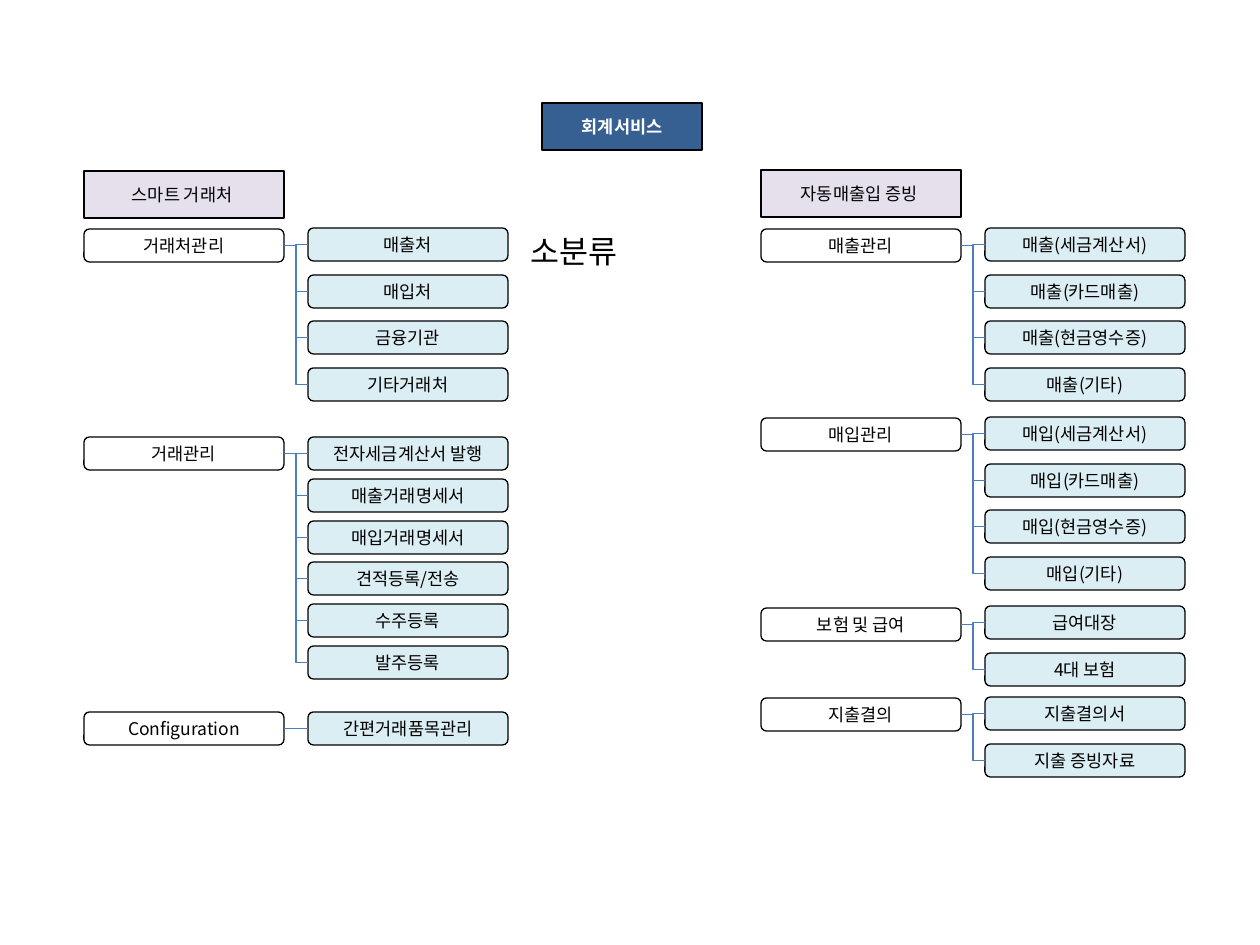
from lxml.etree import SubElement
from pptx import Presentation
from pptx.dml.color import RGBColor
from pptx.enum.shapes import MSO_CONNECTOR as CONNECTOR, MSO_SHAPE as SHAPE
from pptx.enum.text import MSO_ANCHOR as ANCHOR, PP_ALIGN as ALIGN
from pptx.oxml.ns import qn
from pptx.util import Emu, Pt

BLACK = RGBColor(0x00, 0x00, 0x00)
WHITE = RGBColor(0xFF, 0xFF, 0xFF)
NAVY = RGBColor(0x37, 0x60, 0x92)
LAVENDER = RGBColor(0xE6, 0xE0, 0xEC)
AQUA = RGBColor(0xDB, 0xEE, 0xF4)
LINK = RGBColor(0x4B, 0x7E, 0xBC)
FONT = "Noto Sans CJK KR"
PX_PER_INCH = 126
NODE_W, NODE_H, HEADER_H = 200, 33, 47
CHILD_OFFSET = 224
RIGHT_SITE, LEFT_SITE = 3, 1

PARTNERS = [
    ("거래처관리", 229, 228, 140, ["매출처", "매입처", "금융기관", "기타거래처"]),
    ("거래관리", 437, 437, 209, ["전자세금계산서 발행", "매출거래명세서", "매입거래명세서",
                             "견적등록/전송", "수주등록", "발주등록"]),
    ("Configuration", 712, 712, 0, ["간편거래품목관리"]),
]
EVIDENCE = [
    ("매출관리", 229, 228, 140, ["매출(세금계산서)", "매출(카드매출)", "매출(현금영수증)", "매출(기타)"]),
    ("매입관리", 418, 417, 140, ["매입(세금계산서)", "매입(카드매출)", "매입(현금영수증)", "매입(기타)"]),
    ("보험 및 급여", 608, 606, 47, ["급여대장", "4대 보험"]),
    ("지출결의", 698, 697, 47, ["지출결의서", "지출 증빙자료"]),
]


def px(length):
    """Turn px into EMU."""
    return Emu(round(length * 914400 / PX_PER_INCH))


def write(frame, text, size=10, color=BLACK, bold=False):
    """Write one run in the slide's font."""
    run = frame.paragraphs[0].add_run()
    run.text = text
    for name, value in {"name": FONT, "size": Pt(size), "bold": bold}.items():
        setattr(run.font, name, value)
    run.font.color.rgb = color
    SubElement(run.font._element, qn("a:ea"), typeface=FONT)


def add_node(slide, box, text, fill=None, preset=SHAPE.ROUNDED_RECTANGLE, **style):
    """Add one outlined box with centred text."""
    node = slide.shapes.add_shape(preset, *map(px, box))
    node.shadow.inherit = False
    if fill is None:
        node.fill.background()
    else:
        node.fill.solid()
        node.fill.fore_color.rgb = fill
    node.line.color.rgb = BLACK
    node.line.width = Pt(0.75)
    node.text_frame.word_wrap = True
    node.text_frame.vertical_anchor = ANCHOR.MIDDLE
    node.text_frame.paragraphs[0].alignment = ALIGN.CENTER
    write(node.text_frame, text, **style)
    return node


def add_link(slide, parent, child):
    """Join a parent's right side to a child's left side."""
    link = slide.shapes.add_connector(CONNECTOR.ELBOW, 0, 0, 0, 0)
    link.begin_connect(parent, RIGHT_SITE)
    link.end_connect(child, LEFT_SITE)
    link.line.color.rgb = LINK
    link.line.width = Pt(0.75)
    SubElement(link._element.spPr, qn("a:effectLst"))


def add_branch(slide, left, title, top, child_top, span, children):
    """Add a parent box and its evenly spaced children."""
    parent = add_node(slide, (left, top, NODE_W, NODE_H), title)
    step = span / max(len(children) - 1, 1)
    for index, text in enumerate(children):
        box = (left + CHILD_OFFSET, round(child_top + index * step), NODE_W, NODE_H)
        add_link(slide, parent, add_node(slide, box, text, AQUA))


def add_section(slide, left, top, title, branches):
    """Add a section header and the branches under it."""
    add_node(slide, (left, top, NODE_W, HEADER_H), title, LAVENDER, SHAPE.RECTANGLE)
    for branch in branches:
        add_branch(slide, left, *branch)


def add_level_label(slide, box, text):
    """Add the free label for the smallest level."""
    label = slide.shapes.add_textbox(*map(px, box))
    label.text_frame.word_wrap = True
    write(label.text_frame, text, size=18)


def main():
    """Build and save the service map."""
    deck = Presentation()
    deck.slide_width, deck.slide_height = px(1260), px(945)
    slide = deck.slides.add_slide(deck.slide_layouts[6])
    add_node(slide, (542, 103, 160, HEADER_H), "회계서비스", NAVY,
             SHAPE.RECTANGLE, color=WHITE, bold=True)
    add_section(slide, 84, 171, "스마트 거래처 ", PARTNERS)
    add_section(slide, 761, 170, "자동매출입 증빙 ", EVIDENCE)
    add_level_label(slide, (518, 226, 179, 50), "소분류")
    deck.save("out.pptx")


if __name__ == "__main__":
    main()
